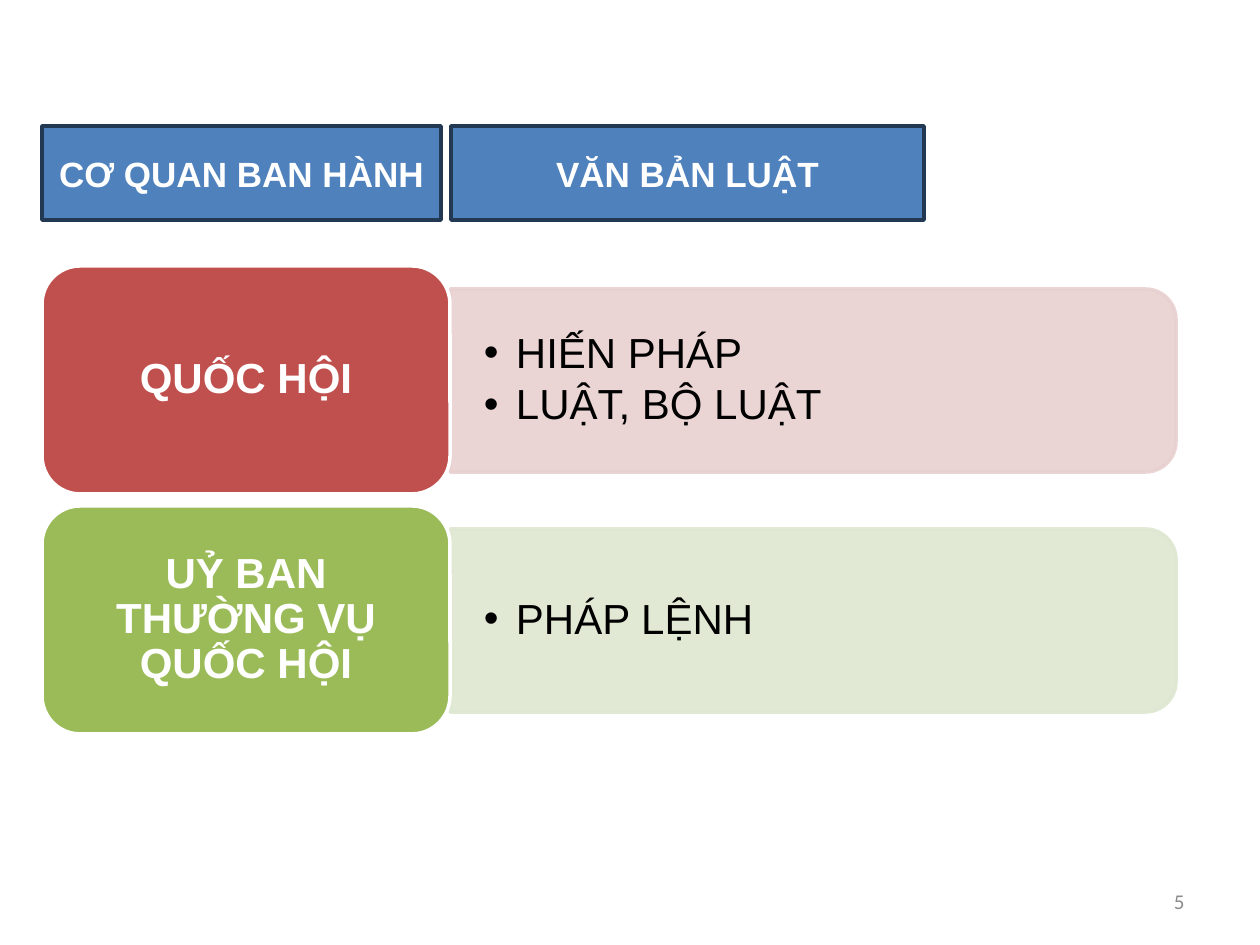
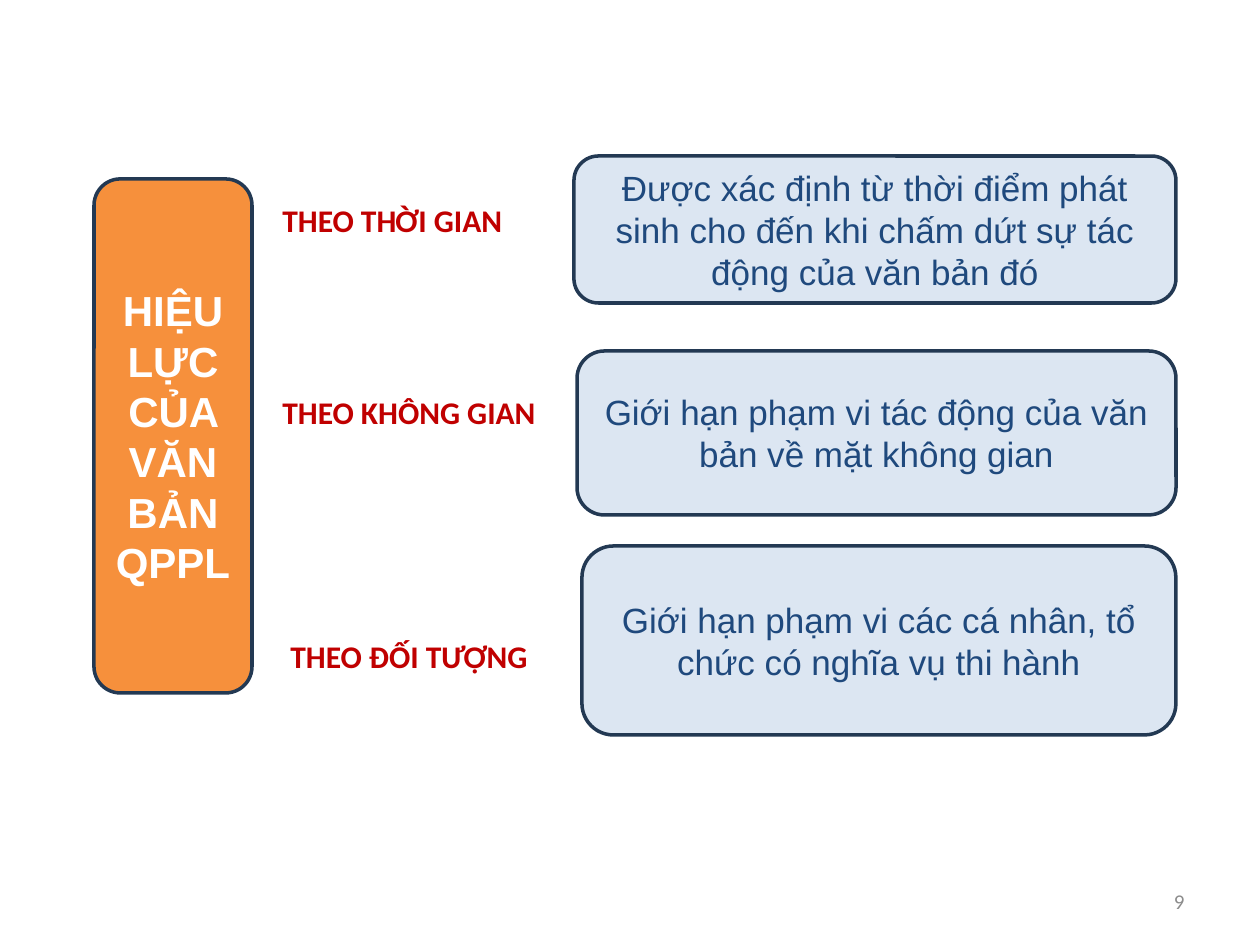
from lxml import etree
from pptx import Presentation
from pptx.dml.color import RGBColor
from pptx.enum.shapes import MSO_SHAPE
from pptx.enum.text import MSO_ANCHOR, MSO_AUTO_SIZE, PP_ALIGN
from pptx.oxml.ns import qn
from pptx.util import Emu, Pt

PX_PER_INCH = 126
TWO_CONTENT, BLANK = 3, 6
WHITE, BLACK, OUTLINE = "FFFFFF", "000000", "233953"


def px(n):
    return Emu(round(n * 914400 / PX_PER_INCH))


def rgb(color):
    return RGBColor.from_string(color)


def set_alpha(sp, percent):
    """Make the solid fill and line of a shape partly transparent."""
    for clr in sp._element.spPr.iter(qn("a:srgbClr")):
        etree.SubElement(clr, qn("a:alpha")).set("val", str(percent * 1000))


class Deck:
    def __init__(self):
        self.prs = Presentation()
        self.prs.slide_width, self.prs.slide_height = px(1260), px(945)
        self.s = None

    def slide(self, layout, number):
        self.s = self.prs.slides.add_slide(self.prs.slide_layouts[layout])
        self.label(number, 903, 876, 294, 50, size=12, color="8C8C8C",
                   align=PP_ALIGN.RIGHT, anchor=MSO_ANCHOR.MIDDLE)

    def set_text(self, sp, lines, size, color, bold=False, font="Arial",
                 align=PP_ALIGN.CENTER, anchor=MSO_ANCHOR.MIDDLE, spacing=None):
        tf = sp.text_frame
        tf.word_wrap = True
        tf.vertical_anchor = anchor
        tf.text = "\n".join(lines)
        for p in tf.paragraphs:
            p.alignment = align
            p.line_spacing = spacing
            f = p.font
            f.name, f.size, f.bold = font, Pt(size), bold
            f.color.rgb = rgb(color)
        return tf

    def label(self, text, x, y, w, h, size=18, color="C00000", bold=False,
              align=PP_ALIGN.LEFT, anchor=MSO_ANCHOR.TOP):
        sp = self.s.shapes.add_textbox(px(x), px(y), px(w), px(h))
        self.set_text(sp, [text], size, color, bold, "Calibri", align, anchor)

    def shape(self, kind, x, y, w, h, fill, line):
        sp = self.s.shapes.add_shape(kind, px(x), px(y), px(w), px(h))
        sp.shadow.inherit = False
        sp.fill.solid()
        sp.fill.fore_color.rgb = rgb(fill)
        sp.line.color.rgb = rgb(line)
        sp.line.width = Pt(2)
        return sp

    def box(self, text, x, y, w, h, fill, line=OUTLINE, size=20, color=WHITE,
            bold=True, kind=MSO_SHAPE.ROUNDED_RECTANGLE, spacing=None):
        sp = self.shape(kind, x, y, w, h, fill, line)
        self.set_text(sp, [text], size, color, bold, spacing=spacing)

    def panel(self, x, y, w, h, fill):
        """Band with its two right corners rounded: an upright shape turned by 90 degrees."""
        shift = (w - h) / 2
        sp = self.shape(MSO_SHAPE.ROUND_2_SAME_RECTANGLE,
                        x + shift, y - shift, h, w, fill, fill)
        sp.rotation = 90
        set_alpha(sp, 90)

    def bullets(self, sp, lines, x, y, w, h):
        """Place a body placeholder in front of the shapes drawn so far."""
        self.s.shapes._spTree.append(sp._element)
        sp.left, sp.top, sp.width, sp.height = px(x), px(y), px(w), px(h)
        tf = self.set_text(sp, lines, 24, BLACK, align=PP_ALIGN.LEFT, spacing=0.9)
        tf.auto_size = MSO_AUTO_SIZE.NONE
        tf.margin_left = tf.margin_right = px(34)
        tf.margin_top = tf.margin_bottom = px(18)
        for p in tf.paragraphs:
            p.space_before, p.space_after = Pt(0), Pt(3.6)
            pPr = p._p.get_or_add_pPr()
            pPr.set("marL", str(px(32)))
            pPr.set("indent", str(-px(32)))


def issuing_bodies(deck):
    deck.slide(TWO_CONTENT, "5")
    title = deck.s.shapes.title
    title._element.getparent().remove(title._element)
    for text, x, w in (("CƠ QUAN BAN HÀNH", 42, 399), ("VĂN BẢN LUẬT", 451, 473)):
        deck.box(text, x, 126, w, 94, "4F81BD", kind=MSO_SHAPE.RECTANGLE)

    rows = [
        ("QUỐC HỘI", ["HIẾN PHÁP", "LUẬT, BỘ LUẬT"], "C0504D", "E8D0D0"),
        ("UỶ BAN THƯỜNG VỤ QUỐC HỘI", ["PHÁP LỆNH"], "9BBB59", "DEE7D1"),
    ]
    bodies = list(deck.s.placeholders)
    for i, (body, (name, laws, dark, light)) in enumerate(zip(bodies, rows)):
        y = 266 + 240 * i
        deck.panel(450, y + 23, 726, 183, light)
        deck.bullets(body, laws, 450, y + 32, 717, 165)
        deck.box(name, 42, y, 408, 228, dark, WHITE, size=24, spacing=0.9)


def validity(deck):
    deck.slide(BLANK, "9")
    deck.box("HIỆU LỰC CỦA VĂN BẢN QPPL", 94, 179, 158, 514, "F6903C", size=24)
    right = 1176
    aspects = [
        ("THEO THỜI GIAN", 270, 195, 574, 156, 147,
         "Được xác định từ thời điểm phát sinh cho đến khi chấm dứt sự tác động của văn bản đó"),
        ("THEO KHÔNG GIAN", 270, 387, 577, 351, 164,
         "Giới hạn phạm vi tác động của văn bản về mặt không gian"),
        ("THEO ĐỐI TƯỢNG", 278, 631, 582, 546, 189,
         "Giới hạn phạm vi các cá nhân, tổ chức có nghĩa vụ thi hành"),
    ]
    for name, label_x, label_y, x, y, h, meaning in aspects:
        deck.label(name, label_x, label_y, 305, 50, bold=True)
        deck.box(meaning, x, y, right - x, h, "DCE6F2", color="1F497D", bold=False)


def main():
    deck = Deck()
    issuing_bodies(deck)
    validity(deck)
    deck.prs.save("out.pptx")


if __name__ == "__main__":
    main()
